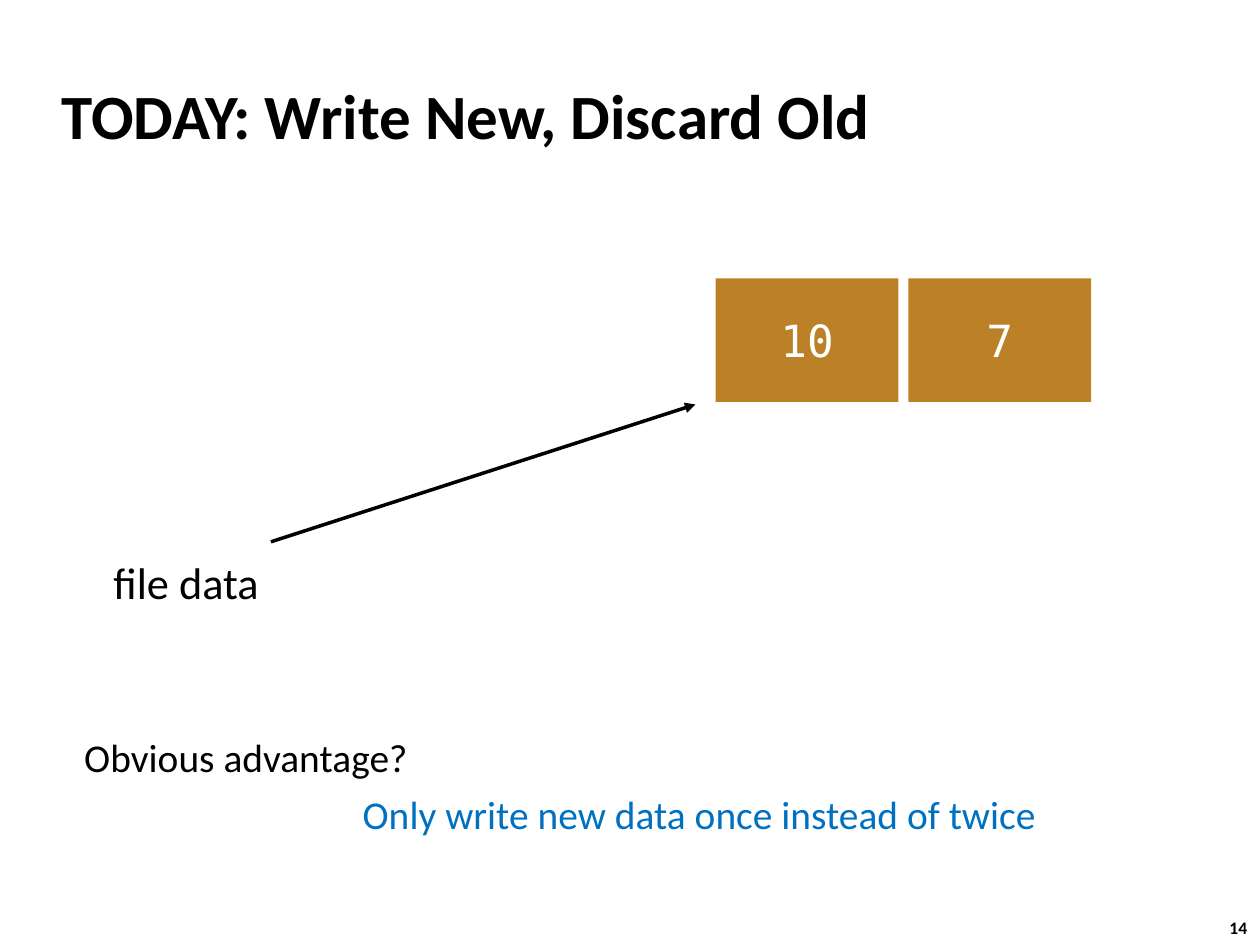
from dataclasses import dataclass

from lxml.etree import SubElement
from pptx import Presentation
from pptx.dml.color import RGBColor
from pptx.enum.shapes import MSO_CONNECTOR, MSO_SHAPE
from pptx.enum.text import MSO_ANCHOR as Anchor, MSO_AUTO_SIZE as AutoSize, PP_ALIGN as Align
from pptx.oxml.ns import qn
from pptx.util import Inches, Pt


@dataclass(frozen=True)
class Theme:
    black: RGBColor = RGBColor.from_string("000000")
    white: RGBColor = RGBColor.from_string("FFFFFF")
    block: RGBColor = RGBColor.from_string("BC8027")
    answer: RGBColor = RGBColor.from_string("0070C0")
    sans: str = "Calibri"
    mono: str = "DejaVu Sans Mono"
    title: float = 36
    label: float = 25.3
    prose: float = 22.5
    number: float = 10


theme = Theme()


def write(shape, text, size, color, name=theme.sans, bold=False, align=Align.LEFT, **frame_format):
    frame = shape.text_frame
    for key, value in frame_format.items():
        setattr(frame, key, value)
    para = frame.paragraphs[0]
    para.alignment = align
    span = para.add_run()
    span.text = text
    span.font.color.rgb = color
    for key, value in {"name": name, "size": Pt(size), "bold": bold}.items():
        setattr(span.font, key, value)


def margins(length):
    return {f"margin_{side}": length for side in ("left", "top", "right", "bottom")}


deck = Presentation()
deck.slide_width, deck.slide_height = Inches(10), Inches(7.5)
page = deck.slides.add_slide(deck.slide_layouts[5])

title = page.shapes.title
for key, value in {"left": 0.39, "top": 0.49, "width": 8.3, "height": 0.83}.items():
    setattr(title, key, Inches(value))
write(title, "TODAY: Write New, Discard Old", theme.title, theme.black, bold=True,
      vertical_anchor=Anchor.MIDDLE, auto_size=AutoSize.NONE)

label_format = {"vertical_anchor": Anchor.MIDDLE, **margins(Inches(0.04))}
for text, place, size, color, extra in (
    ("14", (9.66, 7.23, 0.37, 0.27), theme.number, theme.black, {"bold": True}),
    ("file data", (0.86, 4.37, 1.24, 0.5), theme.label, theme.black, label_format),
    ("Obvious advantage?", (0.57, 5.77, 2.79, 0.48), theme.prose, theme.black, {}),
    ("Only write new data once instead of twice", (2.78, 6.22, 5.59, 0.48), theme.prose, theme.answer, {}),
):
    box = page.shapes.add_textbox(*map(Inches, place))
    write(box, text, size, color, word_wrap=False, auto_size=AutoSize.SHAPE_TO_FIT_TEXT, **extra)

arrow = page.shapes.add_connector(
    MSO_CONNECTOR.STRAIGHT, Inches(2.15), Inches(4.3), Inches(5.52), Inches(3.21))
arrow.line.color.rgb = theme.black
arrow.line.width = Pt(2)
SubElement(arrow.line._get_or_add_ln(), qn("a:tailEnd"), type="triangle")
SubElement(arrow._element.spPr, qn("a:effectLst"))

block_width, block_gap = 1.45, 0.08
for index, text in enumerate(("10", "7")):
    left = 5.68 + index * (block_width + block_gap)
    block = page.shapes.add_shape(
        MSO_SHAPE.RECTANGLE, Inches(left), Inches(2.21), Inches(block_width), Inches(0.98))
    block.shadow.inherit = False
    block.fill.solid()
    block.fill.fore_color.rgb = theme.block
    block.line.fill.background()
    write(block, text, theme.label, theme.white, name=theme.mono, align=Align.CENTER,
          vertical_anchor=Anchor.MIDDLE, **margins(Inches(0)))

deck.save("out.pptx")
